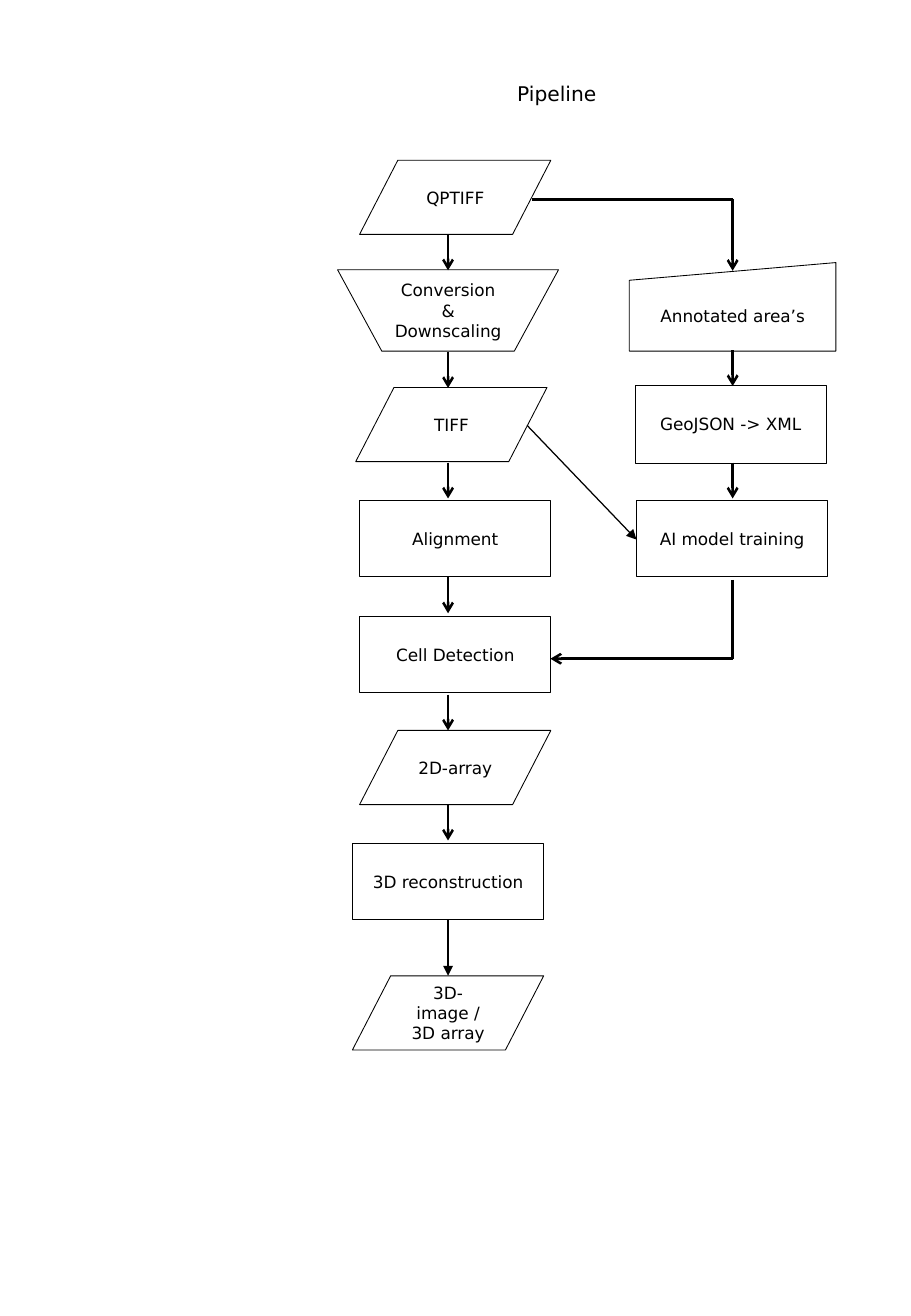
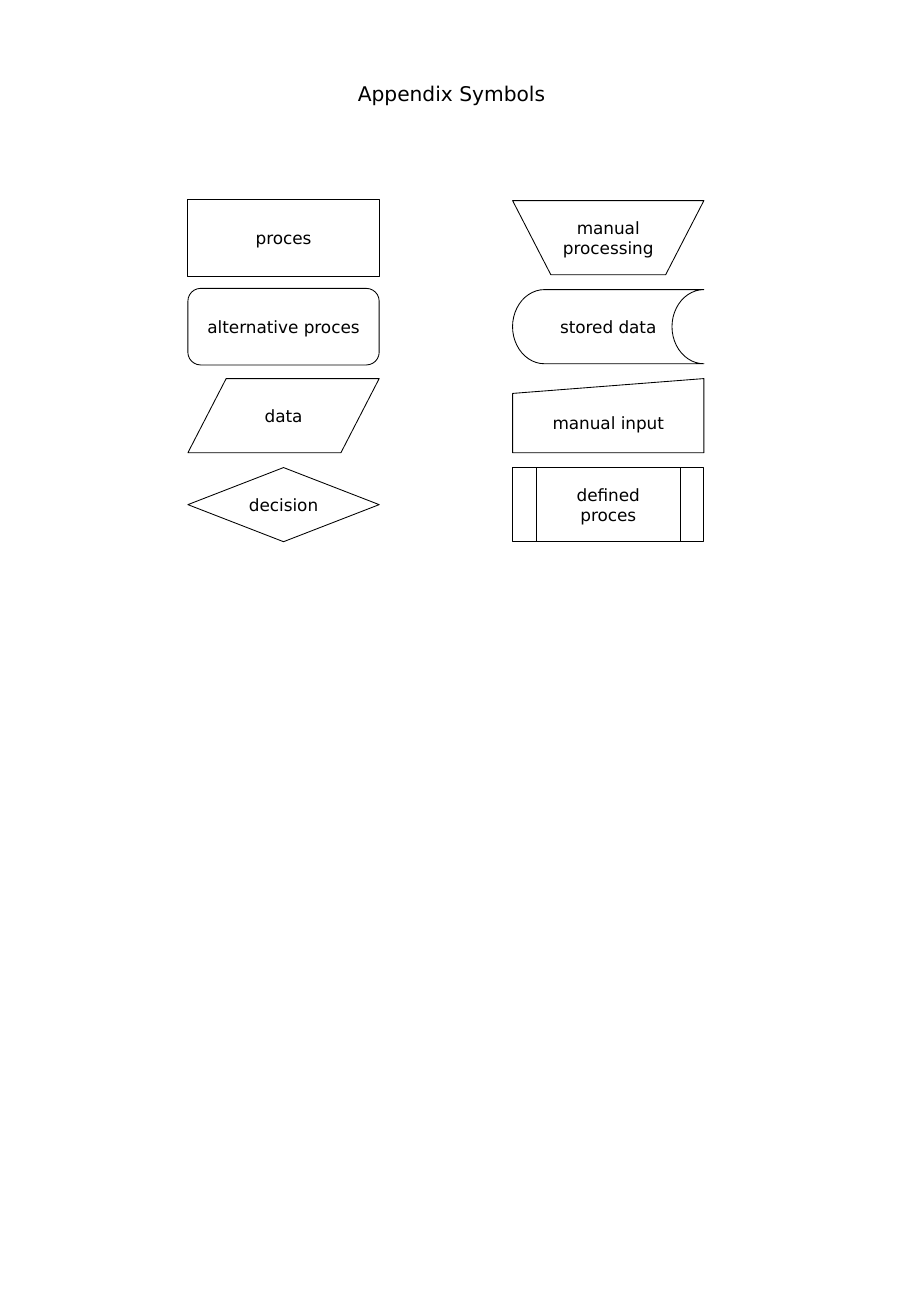
"""Builds a flow chart of an image pipeline and a key to its symbols."""
from lxml.etree import SubElement
from pptx import Presentation
from pptx.dml.color import RGBColor
from pptx.enum.shapes import MSO_CONNECTOR, MSO_SHAPE
from pptx.enum.text import MSO_ANCHOR, PP_ALIGN
from pptx.oxml.ns import qn
from pptx.util import Cm, Pt

HUES = {"ink": "000000", "paper": "FFFFFF"}
FONT = "DejaVu Sans"
WIDE, LOW, TALL = 4, 1.55, 1.6
SPINE, SIDE, STEP = 9.37, 15.32, 0.75

DATA = MSO_SHAPE.FLOWCHART_DATA
TASK = MSO_SHAPE.FLOWCHART_PROCESS
HAND = MSO_SHAPE.FLOWCHART_MANUAL_OPERATION
INPUT = MSO_SHAPE.FLOWCHART_MANUAL_INPUT

NODES = [
    ("QPTIFF", DATA, 7.52, 3.35, WIDE, LOW),
    ("Conversion & Downscaling", HAND, 7.06, 5.64, 4.62, 1.7),
    ("TIFF", DATA, 7.44, 8.1, WIDE, LOW),
    ("Alignment", TASK, 7.52, 10.46, WIDE, TALL),
    ("Cell Detection", TASK, 7.52, 12.88, WIDE, TALL),
    ("2D-array", DATA, 7.52, 15.27, WIDE, LOW),
    ("3D reconstruction", TASK, 7.37, 17.63, WIDE, TALL),
    ("3D-image / 3D array", DATA, 7.37, 20.4, WIDE, LOW),
    ("Annotated area’s", INPUT, 13.16, 5.49, 4.32, 1.85),
    ("GeoJSON -> XML", TASK, 13.28, 8.05, WIDE, 1.63),
    ("AI model training", TASK, 13.31, 10.46, WIDE, TALL),
]
DROPS = {
    SPINE: [4.9, 7.36, 9.67, 12.07, 14.52, 16.82],
    SIDE: [7.32, 9.67],
}
SIGNS = [
    [("proces", TASK, TALL),
     ("alternative proces", MSO_SHAPE.FLOWCHART_ALTERNATE_PROCESS, TALL),
     ("data", DATA, LOW),
     ("decision", MSO_SHAPE.FLOWCHART_DECISION, LOW)],
    [("manual processing", HAND, LOW),
     ("stored data", MSO_SHAPE.FLOWCHART_STORED_DATA, LOW),
     ("manual input", INPUT, LOW),
     ("defined proces", MSO_SHAPE.FLOWCHART_PREDEFINED_PROCESS, LOW)],
]


def hue(name):
    """Return the named colour."""
    return RGBColor.from_string(HUES[name])


def write(frame, text, size=10, left=0.25, right=0.25):
    """Fill a text frame with centred text."""
    frame.text = text
    frame.word_wrap = True
    frame.vertical_anchor = MSO_ANCHOR.MIDDLE
    frame.margin_left, frame.margin_right = Cm(left), Cm(right)
    line = frame.paragraphs[0]
    line.alignment = PP_ALIGN.CENTER
    font = line.runs[0].font
    font.name, font.size = FONT, Pt(size)
    font.color.rgb = hue("ink")


def start(deck, text, **look):
    """Add a slide with its title."""
    slide = deck.slides.add_slide(deck.slide_layouts[5])
    title = slide.shapes.title
    title.left, title.top = Cm(1.42), Cm(1.35)
    title.width, title.height = Cm(16.2), Cm(1.2)
    write(title.text_frame, text, size=12, **look)
    return slide


def node(slide, text, kind, left, top, width, height):
    """Add one flow chart symbol."""
    shape = slide.shapes.add_shape(
        kind, Cm(left), Cm(top), Cm(width), Cm(height))
    shape.shadow.inherit = False
    shape.fill.solid()
    shape.fill.fore_color.rgb = hue("paper")
    shape.line.color.rgb = hue("ink")
    shape.line.width = Pt(0.5)
    write(shape.text_frame, text)


def link(slide, x, y, end_x, end_y, head="arrow", width=1.5):
    """Add a straight line, with an arrowhead unless head is None."""
    line = slide.shapes.add_connector(
        MSO_CONNECTOR.STRAIGHT, Cm(x), Cm(y), Cm(end_x), Cm(end_y))
    line.line.color.rgb = hue("ink")
    line.line.width = Pt(width)
    if head:
        SubElement(line.get_or_add_ln(), qn("a:tailEnd"), type=head)
    SubElement(line.element.spPr, qn("a:effectLst"))


def draw_flow(deck):
    """Draw the pipeline."""
    slide = start(deck, "Pipeline", left=4.5)
    for item in NODES:
        node(slide, *item)
    for x, tops in DROPS.items():
        for top in tops:
            link(slide, x, top, x, top + STEP)
    link(slide, 11.13, 4.17, SIDE, 4.17, head=None)
    link(slide, SIDE, 4.17, SIDE, 5.66)
    link(slide, SIDE, 12.12, SIDE, 13.77, head=None)
    link(slide, SIDE, 13.77, 11.51, 13.77)
    link(slide, SPINE, 19.23, SPINE, 20.4, head="triangle", width=0.75)
    link(slide, 11.02, 8.89, 13.31, 11.28, head="triangle", width=0.75)


def draw_key(deck):
    """Draw the grid of symbols."""
    slide = start(deck, "Appendix Symbols", right=0.4)
    for col, signs in enumerate(SIGNS):
        for row, (text, kind, height) in enumerate(signs):
            top = 4.97 + 1.86 * row - height / 2
            node(slide, text, kind, 3.93 + 6.79 * col, top, WIDE, height)


def main():
    """Build and save the deck."""
    deck = Presentation()
    deck.slide_width, deck.slide_height = Cm(19.05), Cm(27.51)
    draw_flow(deck)
    draw_key(deck)
    deck.save("out.pptx")


if __name__ == "__main__":
    main()
